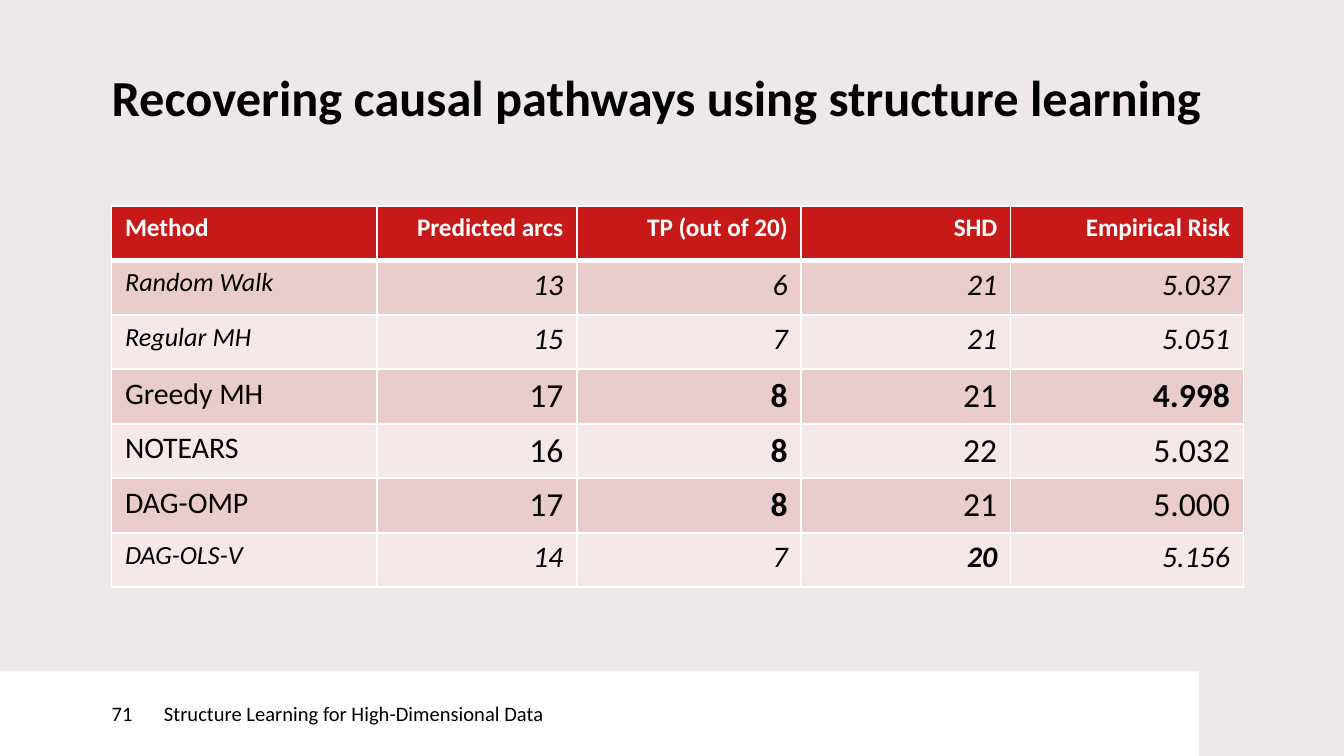
from lxml.etree import SubElement
from pptx import Presentation
from pptx.dml.color import RGBColor
from pptx.enum.shapes import MSO_SHAPE
from pptx.enum.text import MSO_ANCHOR, PP_ALIGN
from pptx.oxml.ns import qn
from pptx.util import Cm, Pt

COLORS = {
    "background": "EEE8E8",
    "text": "000000",
    "white": "FFFFFF",
    "header": "C81919",
    "odd": "EBCCCC",
    "even": "F5E8E8",
}
FONT = "Calibri"
HEADER = ["Method", "Predicted arcs", "TP (out of 20)", "SHD", "Empirical Risk"]
RESULTS = [
    ["Random Walk", "13", "6", "21", "5.037"],
    ["Regular MH", "15", "7", "21", "5.051"],
    ["Greedy MH", "17", "8", "21", "4.998"],
    ["NOTEARS", "16", "8", "22", "5.032"],
    ["DAG-OMP", "17", "8", "21", "5.000"],
    ["DAG-OLS-V", "14", "7", "20", "5.156"],
]
LEADING = {"Greedy MH", "NOTEARS", "DAG-OMP"}
BEST = {2: "8", 3: "20", 4: "4.998"}
COLUMN_WIDTHS = [5.01, 3.78, 4.24, 3.96, 4.4]
ROW_HEIGHT = 1.03
LEFT = 2.11
FOOTER_TOP, FOOTER_HEIGHT, NUMBER_WIDTH = 12.69, 1.6, 3.1


def rgb(name):
    return RGBColor.from_string(COLORS[name])


def write(tf, text, size, color="text", bold=False, italic=False,
          align=PP_ALIGN.LEFT, spacing=None):
    p = tf.paragraphs[0]
    p.alignment = align
    if spacing:
        p.line_spacing = Pt(spacing)
    r = p.add_run()
    r.text = text
    r.font.name = FONT
    r.font.size = Pt(size)
    r.font.bold = bold
    r.font.italic = italic
    r.font.color.rgb = rgb(color)


def set_insets(tf, left=0):
    tf.word_wrap = True
    tf.margin_left = Cm(left)
    tf.margin_top = tf.margin_right = tf.margin_bottom = 0


class Deck:
    """Holds the presentation style and the current slide."""

    def __init__(self, width, height):
        self.prs = Presentation()
        self.prs.slide_width, self.prs.slide_height = Cm(width), Cm(height)
        self.s = self.prs.slides.add_slide(self.prs.slide_layouts[6])
        fill = self.s.background.fill
        fill.solid()
        fill.fore_color.rgb = rgb("background")

    def title(self, text, x, y, w, h):
        tf = self.s.shapes.add_textbox(Cm(x), Cm(y), Cm(w), Cm(h)).text_frame
        set_insets(tf)
        write(tf, text, 27, bold=True, spacing=27)

    def footer_box(self, text, x, w, inset=0):
        sp = self.s.shapes.add_shape(MSO_SHAPE.RECTANGLE, Cm(x), Cm(FOOTER_TOP),
                                     Cm(w), Cm(FOOTER_HEIGHT))
        sp.shadow.inherit = False
        sp.fill.solid()
        sp.fill.fore_color.rgb = rgb("white")
        sp.line.fill.background()
        tf = sp.text_frame
        set_insets(tf, inset)
        tf.vertical_anchor = MSO_ANCHOR.MIDDLE
        write(tf, text, 11)

    def cell(self, cell, fill, top=1, bottom=1):
        tcPr = cell._tc.get_or_add_tcPr()
        for side, width in (("L", 1), ("R", 1), ("T", top), ("B", bottom)):
            ln = SubElement(tcPr, qn(f"a:ln{side}"), w=str(Pt(width)))
            solid = SubElement(ln, qn("a:solidFill"))
            SubElement(solid, qn("a:srgbClr"), val=COLORS["white"])
        cell.fill.solid()
        cell.fill.fore_color.rgb = rgb(fill)

    def table(self, x, y):
        rows = [HEADER] + RESULTS
        table = self.s.shapes.add_table(
            len(rows), len(HEADER), Cm(x), Cm(y), Cm(sum(COLUMN_WIDTHS)),
            Cm(ROW_HEIGHT * len(rows))).table
        for column, width in zip(table.columns, COLUMN_WIDTHS):
            column.width = Cm(width)
        for i, row in enumerate(rows):
            table.rows[i].height = Cm(ROW_HEIGHT)
            leading = row[0] in LEADING
            for j, text in enumerate(row):
                cell = table.cell(i, j)
                align = PP_ALIGN.RIGHT if j else PP_ALIGN.LEFT
                if i == 0:
                    self.cell(cell, "header", bottom=3)
                    write(cell.text_frame, text, 13.5, "white", bold=True, align=align)
                else:
                    self.cell(cell, "odd" if i % 2 else "even", top=3 if i == 1 else 1)
                    size = 14 + 2 * leading + 2 * (j > 0)
                    write(cell.text_frame, text, size, bold=text == BEST.get(j),
                          italic=not leading, align=align)


def main():
    deck = Deck(25.4, 14.29)
    deck.title("Recovering causal pathways using structure learning",
               LEFT, 1.45, 20.98, 1.5)
    deck.footer_box("Structure Learning for High-Dimensional Data", NUMBER_WIDTH, 19.56)
    deck.footer_box("71", 0, NUMBER_WIDTH, inset=LEFT)
    deck.table(LEFT, 3.89)
    deck.prs.save("out.pptx")


if __name__ == "__main__":
    main()
